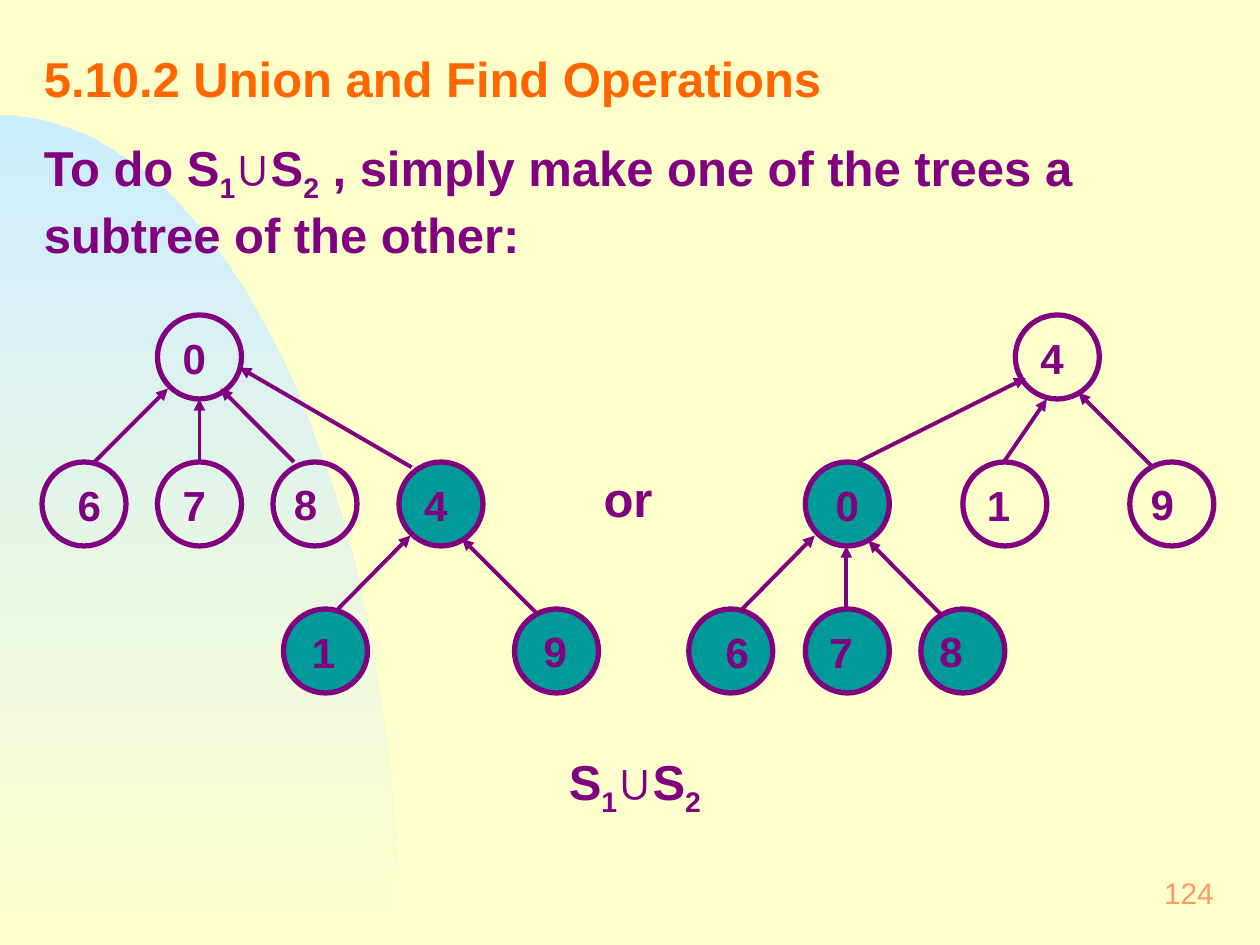
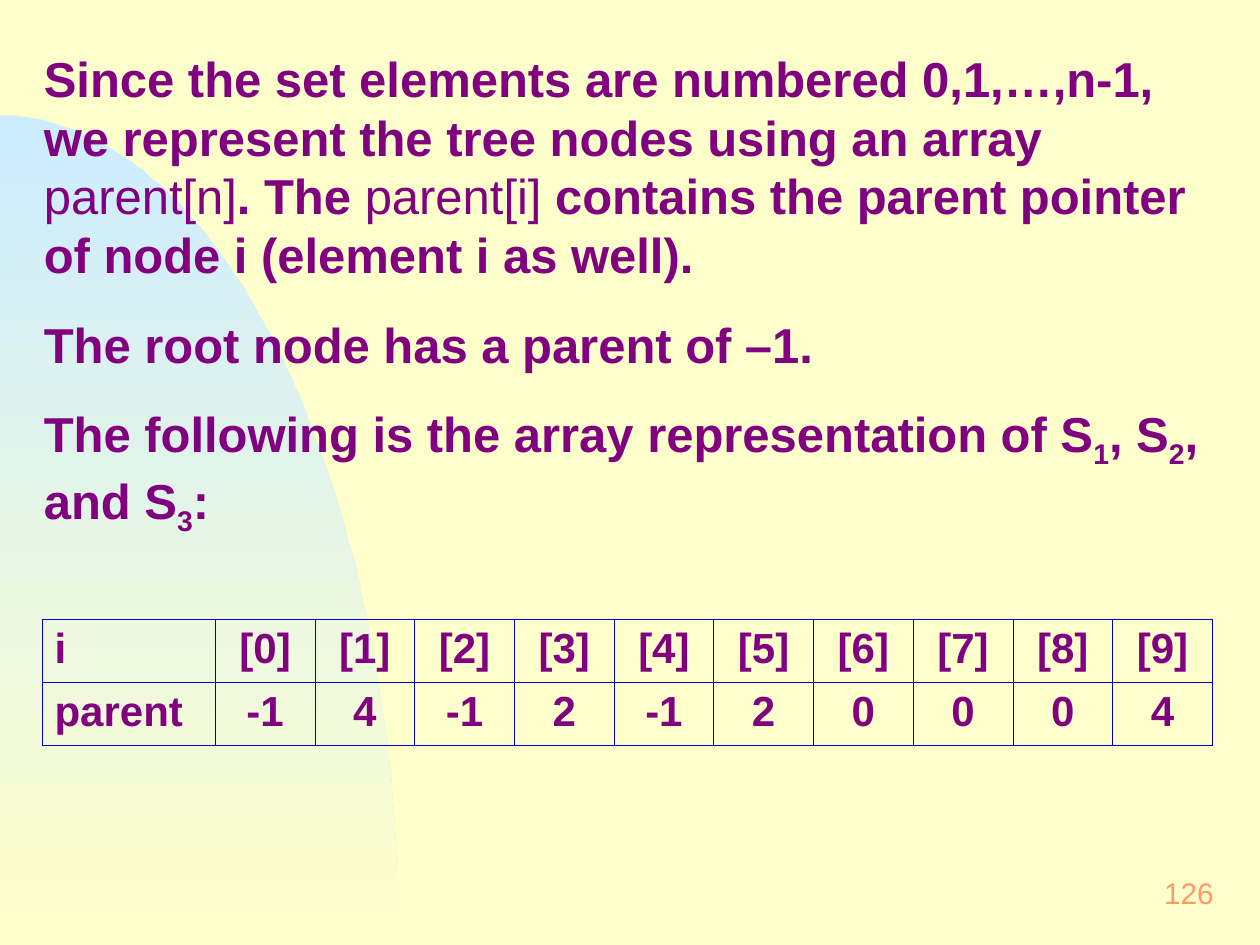
import math

import pptx
import pptx.dml.color
import pptx.enum.shapes
import pptx.enum.text
import pptx.oxml
import pptx.oxml.ns
import pptx.util

EMU_PER_PX = 7620
NODE_SIZE = 80
ALIGN = pptx.enum.text.PP_ALIGN
ANCHOR = pptx.enum.text.MSO_ANCHOR
SUBSCRIPT = {"baseline": "-25000"}
PLAIN = {"b": "0"}


def px(length):
    return pptx.util.Emu(length * EMU_PER_PX)


def color(value):
    return pptx.dml.color.RGBColor.from_string(value)


def apply(target, values):
    for name, value in values.items():
        setattr(target, name, value)


def add_xml(parent, tag, content="", **attributes):
    settings = "".join(f' {name}="{value}"' for name, value in attributes.items())
    namespace = pptx.oxml.ns.nsdecls("a")
    parent.append(pptx.oxml.parse_xml(f"<a:{tag} {namespace}{settings}>{content}</a:{tag}>"))


class SlideBuilder:
    paper = "FFFFCC"
    sky = "CCECFF"
    ink = "800080"
    heading = "FF6600"
    number = "FF9966"
    moved = "009999"
    grid = "0000CC"
    font = "Arial"

    def __init__(self):
        self.deck = pptx.Presentation()
        apply(self.deck, {"slide_width": px(1200), "slide_height": px(900)})
        self.page = None

    def start(self, number):
        self.page = self.deck.slides.add_slide(self.deck.slide_layouts[6])
        self.page.background.fill.solid()
        self.page.background.fill.fore_color.rgb = color(self.paper)
        self.arc()
        self.text([(str(number), {})], 920, 820, 250, 60, inset=(14, 7), size=17,
                  ink=self.number, bold=False, align=ALIGN.RIGHT, anchor=ANCHOR.MIDDLE)

    def arc(self):
        angles = [math.radians(degree) for degree in range(91)]
        points = [(round(380 * math.sin(a), 2), round(900 - 790 * math.cos(a), 2))
                  for a in angles]
        builder = self.page.shapes.build_freeform(0, 110, scale=EMU_PER_PX)
        builder.add_line_segments(points[1:] + [(0, 900)], close=True)
        shape = builder.convert_to_shape()
        shape.shadow.inherit = False
        shape.line.fill.background()
        shape.fill.gradient()
        shape.fill.gradient_angle = 270
        for stop, value in zip(shape.fill.gradient_stops, (self.sky, self.paper)):
            stop.color.rgb = color(value)

    def add_spans(self, para, text, alternate, size, ink, bold):
        for index, piece in enumerate(text.split("|")):
            span = para.add_run()
            span.text = piece
            apply(span.font, {"name": self.font, "size": pptx.util.Pt(size), "bold": bold})
            span.font.color.rgb = color(ink)
            if index % 2:
                for name, value in alternate.items():
                    span.font._element.set(name, value)

    def text(self, lines, left, top, width, height, inset=(12, 6), size=28, ink=None,
             bold=True, align=ALIGN.LEFT, anchor=ANCHOR.TOP, wrap=True):
        box = self.page.shapes.add_textbox(px(left), px(top), px(width), px(height))
        frame = box.text_frame
        side, edge = map(px, inset)
        apply(frame, {"word_wrap": wrap, "vertical_anchor": anchor,
                      "margin_left": side, "margin_right": side,
                      "margin_top": edge, "margin_bottom": edge})
        for index, (text, style) in enumerate(lines):
            para = frame.add_paragraph() if index else frame.paragraphs[0]
            para.alignment = align
            if index:
                para.space_before = pptx.util.Pt(17.5)
            self.add_spans(para, text, style.get("alternate", SUBSCRIPT), size,
                           style.get("ink", ink or self.ink), bold)

    def node(self, label, left, top, filled, label_shift, label_width):
        circle = self.page.shapes.add_shape(pptx.enum.shapes.MSO_SHAPE.OVAL, px(left), px(top),
                                            px(NODE_SIZE), px(NODE_SIZE))
        circle.shadow.inherit = False
        if filled:
            circle.fill.solid()
            circle.fill.fore_color.rgb = color(self.moved)
        else:
            circle.fill.background()
        circle.line.color.rgb = color(self.ink)
        circle.line.width = pptx.util.Pt(3)
        narrow = label_width < 50
        self.text([(label, {})], left + label_shift, top + 10, label_width,
                  60 if narrow else 62, inset=(12, 6) if narrow else (14, 7),
                  size=24, wrap=not narrow)

    def arrow(self, child_x, child_y, parent_x, parent_y):
        line = self.page.shapes.add_connector(
            pptx.enum.shapes.MSO_CONNECTOR.STRAIGHT,
            px(child_x), px(child_y), px(parent_x), px(parent_y))
        line.line.color.rgb = color(self.ink)
        line.line.width = pptx.util.Pt(2.25)
        add_xml(line.line._get_or_add_ln(), "tailEnd", type="triangle")
        add_xml(line._element.spPr, "effectLst")

    def table(self, rows, left, top, widths, row_height):
        table = self.page.shapes.add_table(len(rows), len(widths), px(left), px(top),
                                           px(sum(widths)), px(row_height * len(rows))).table
        apply(table, {"first_row": False, "horz_banding": False})
        for column, width in zip(table.columns, widths):
            column.width = px(width)
        for row_index, row in enumerate(rows):
            table.rows[row_index].height = px(row_height)
            for column_index, text in enumerate(row):
                cell = table.cell(row_index, column_index)
                apply(cell, {"margin_left": px(12), "margin_right": px(12),
                             "margin_top": px(6), "margin_bottom": px(6)})
                para = cell.text_frame.paragraphs[0]
                para.alignment = ALIGN.CENTER if column_index else ALIGN.LEFT
                self.add_spans(para, text, SUBSCRIPT, 24, self.ink, True)
                self.borders(cell)
                cell.fill.background()

    def borders(self, cell):
        properties = cell._tc.get_or_add_tcPr()
        fill = f'<a:solidFill><a:srgbClr val="{self.grid}"/></a:solidFill>'
        for side in ("lnL", "lnR", "lnT", "lnB"):
            add_xml(properties, side, fill, w=pptx.util.Pt(0.45))


LEFT_TREE = [
    ("0", 150, 300, False, 10, 60),
    ("7", 150, 440, False, 10, 80),
    ("6", 40, 440, False, 20, 90),
    ("8", 260, 440, False, 8, 46),
    ("4", 380, 440, True, 10, 60),
    ("1", 270, 580, True, 13, 90),
    ("9", 490, 580, True, 16, 46),
]
RIGHT_TREE = [
    ("4", 967, 300, False, 10, 60),
    ("1", 917, 440, False, 9, 90),
    ("9", 1076, 440, False, 8, 46),
    ("0", 767, 440, True, 15, 60),
    ("7", 767, 580, True, 9, 80),
    ("6", 656, 580, True, 21, 90),
    ("8", 877, 580, True, 6, 46),
]
CHILD_TO_PARENT = [
    (190, 440, 190, 380), (90, 440, 160, 370), (280, 440, 210, 370),
    (392, 445, 228, 350), (322, 580, 391, 510), (510, 583, 440, 513),
    (956, 440, 997, 380), (1097, 444, 1027, 374), (817, 440, 977, 360),
    (806, 580, 806, 520), (707, 580, 776, 510), (896, 585, 827, 515),
]


def union_slide(builder):
    builder.start(124)
    builder.text([
        ("5.10.2 Union and Find Operations", {"ink": builder.heading}),
        ("To do S|1|∪S|2| , simply make one of the trees a subtree of the other:", {}),
    ], 30, 40, 1150, 217)
    for node in LEFT_TREE + RIGHT_TREE:
        builder.node(*node)
    for ends in CHILD_TO_PARENT:
        builder.arrow(*ends)
    builder.text([("or", {})], 563, 440, 100, 68)
    builder.text([("S|1|∪S|2", {})], 530, 710, 300, 75)


def array_slide(builder):
    builder.start(126)
    builder.text([
        ("Since the set elements are numbered 0,1,…,n-1, we represent the tree nodes using "
         "an array |parent[n]|. The |parent[i]| contains the parent pointer of node i "
         "(element i as well).", {"alternate": PLAIN}),
        ("The root node has a parent of –1.", {}),
        ("The following is the array representation of S|1|, S|2|, and S|3|:", {}),
    ], 30, 40, 1150, 479)
    parents = [-1, 4, -1, 2, -1, 2, 0, 0, 0, 4]
    builder.table([
        ["i"] + [f"[{index}]" for index in range(len(parents))],
        ["parent"] + [str(parent) for parent in parents],
    ], 40, 590, [165] + [95] * len(parents), 60)


def main():
    builder = SlideBuilder()
    union_slide(builder)
    array_slide(builder)
    builder.deck.save("out.pptx")


if __name__ == "__main__":
    main()
